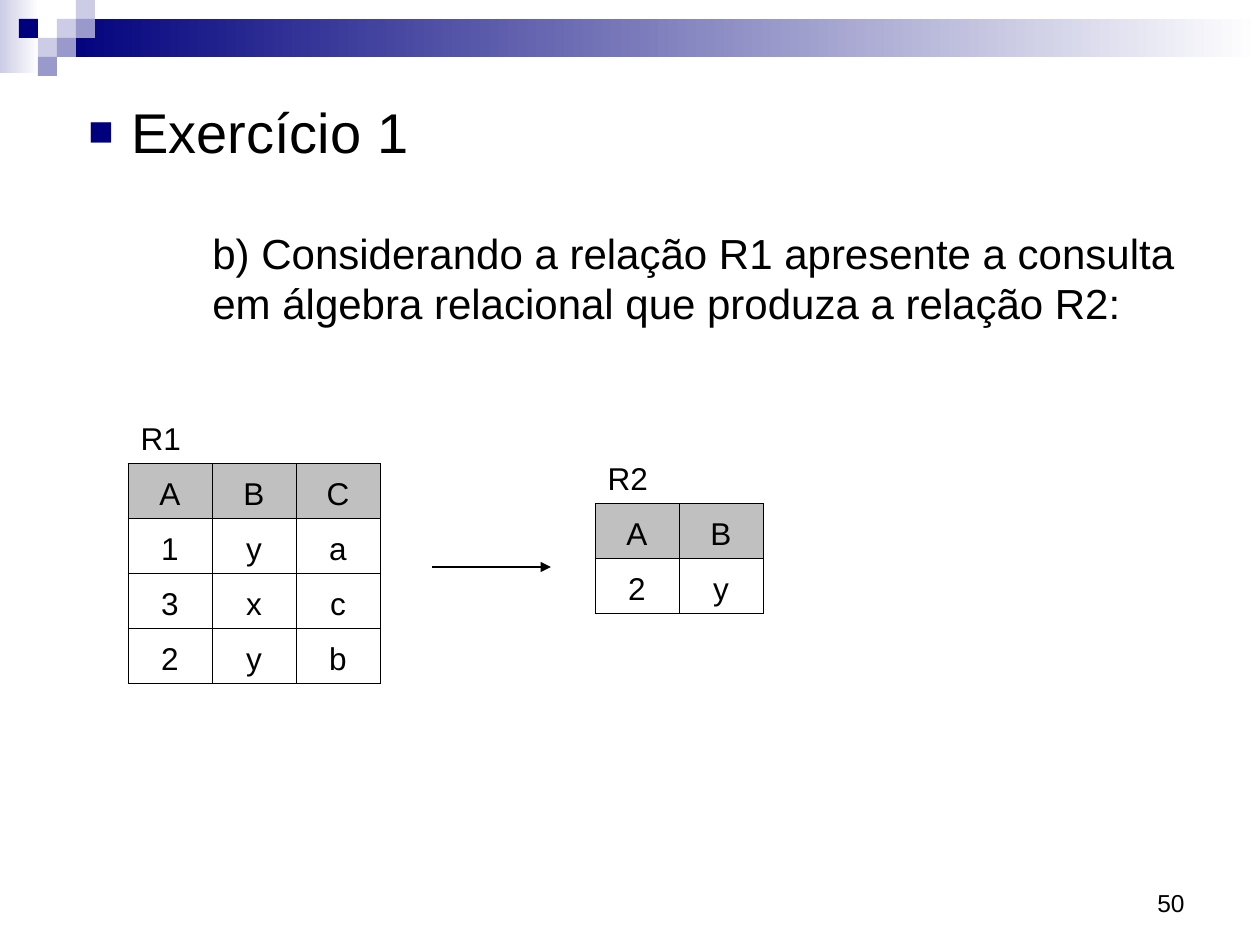
from lxml.etree import SubElement
from pptx import Presentation
from pptx.dml.color import RGBColor
from pptx.enum.shapes import MSO_CONNECTOR, MSO_SHAPE
from pptx.enum.text import MSO_ANCHOR, PP_ALIGN
from pptx.oxml.ns import qn
from pptx.util import Pt

EMU_PER_PX = 914400 / 126
FONT = "Arial"
COLORS = {
    "navy": "00007D",
    "violet": "9999CC",
    "lilac": "CCCCE6",
    "white": "FFFFFF",
    "black": "000000",
    "header": "C0C0C0",
}
SQUARE = 19
SQUARES = [
    (3, 1, "lilac"), (4, 0, "lilac"), (4, 1, "violet"), (2, 2, "lilac"),
    (1, 1, "navy"), (3, 2, "violet"), (2, 3, "violet"),
]
COLUMN_WIDTH, CAPTION_HEIGHT, ROW_HEIGHT = 84, 50, 55
RELATION_R1 = ["ABC", "1ya", "3xc", "2yb"]
RELATION_R2 = ["AB", "2y"]
QUESTION = ("b) Considerando a relação R1 apresente a consulta "
            "em álgebra relacional que produza a relação R2:")


def px(length):
    """Turn pixels into EMU."""
    return round(length * EMU_PER_PX)


def color(name):
    """Return a named colour."""
    return RGBColor.from_string(COLORS[name])


def add_block(page, left, top, width, height, *names):
    """Add a borderless rectangle, plain or fading between two colours."""
    block = page.shapes.add_shape(
        MSO_SHAPE.RECTANGLE, px(left), px(top), px(width), px(height))
    block.shadow.inherit = False
    block.line.fill.background()
    if len(names) == 1:
        block.fill.solid()
        block.fill.fore_color.rgb = color(names[0])
        return
    block.fill.gradient()
    block.fill.gradient_angle = 0
    for stop, name, position in zip(block.fill.gradient_stops, names, (0, 1)):
        stop.color.rgb = color(name)
        stop.position = position


def add_banner(page):
    """Add the fading bands and the mosaic at the top."""
    add_block(page, 0, 0, 39, 73, "lilac", "white")
    add_block(page, 57, 19, 1203, 38, "navy", "white")
    for column, row, name in SQUARES:
        add_block(page, column * SQUARE, row * SQUARE, SQUARE, SQUARE, name)


def style_paragraph(paragraph, size, align=PP_ALIGN.LEFT):
    """Set the font and alignment of a paragraph."""
    paragraph.alignment = align
    paragraph.font.size = Pt(size)
    paragraph.font.name = FONT
    paragraph.font.color.rgb = color("black")


def add_text_box(page, left, top, width, height, anchor):
    """Add an empty wrapping text box and return its frame."""
    box = page.shapes.add_textbox(px(left), px(top), px(width), px(height))
    frame = box.text_frame
    frame.word_wrap = True
    frame.vertical_anchor = anchor
    return frame


def add_square_bullet(paragraph, margin, indent):
    """Give a paragraph a small navy square bullet."""
    properties = paragraph._p.get_or_add_pPr()
    properties.set("marL", str(px(margin)))
    properties.set("indent", str(px(indent)))
    bullet_color = SubElement(properties, qn("a:buClr"))
    SubElement(bullet_color, qn("a:srgbClr"), val=COLORS["navy"])
    SubElement(properties, qn("a:buSzPct"), val="75000")
    SubElement(properties, qn("a:buFont"), typeface=FONT)
    SubElement(properties, qn("a:buChar"), char="■")


def add_exercise(page):
    """Add the heading and the question."""
    frame = add_text_box(page, 63, 86, 1158, 268, MSO_ANCHOR.TOP)
    frame.margin_top = px(11)
    heading = frame.paragraphs[0]
    heading.text = "Exercício 1"
    add_square_bullet(heading, 56, -43)
    style_paragraph(heading, 32)
    question = frame.add_paragraph()
    question.text = QUESTION
    question._p.get_or_add_pPr().set("marL", str(px(137)))
    question.space_before = Pt(36)
    style_paragraph(question, 24)


def set_borders(cell, visible_sides):
    """Draw the given sides of a cell and hide the others."""
    properties = cell._tc.get_or_add_tcPr()
    for side in "LRTB":
        border = SubElement(properties, qn(f"a:ln{side}"), w=str(Pt(0.45)))
        if side in visible_sides:
            fill = SubElement(border, qn("a:solidFill"))
            SubElement(fill, qn("a:srgbClr"), val=COLORS["black"])
        else:
            SubElement(border, qn("a:noFill"))


def fill_cell(cell, text, align, sides, shaded):
    """Write and style one table cell."""
    cell.text = text
    cell.vertical_anchor = MSO_ANCHOR.BOTTOM
    style_paragraph(cell.text_frame.paragraphs[0], 18, align)
    set_borders(cell, sides)
    if shaded:
        cell.fill.solid()
        cell.fill.fore_color.rgb = color("header")
    else:
        cell.fill.background()


def add_relation(page, left, top, name, rows):
    """Add a relation as a table with its name above the header."""
    count = len(rows[0])
    height = CAPTION_HEIGHT + ROW_HEIGHT * len(rows)
    table = page.shapes.add_table(
        len(rows) + 1, count, px(left), px(top),
        px(count * COLUMN_WIDTH), px(height)).table
    table.first_row = table.horz_banding = False
    for column in table.columns:
        column.width = px(COLUMN_WIDTH)
    for index, row in enumerate(table.rows):
        row.height = px(ROW_HEIGHT if index else CAPTION_HEIGHT)
    for column in range(count):
        caption = "" if column else name
        fill_cell(table.cell(0, column), caption, PP_ALIGN.LEFT, "B", False)
        for index, values in enumerate(rows, 1):
            fill_cell(table.cell(index, column), values[column],
                      PP_ALIGN.CENTER, "LRTB", index == 1)


def add_arrow(page, left, right, y):
    """Add a horizontal arrow."""
    arrow = page.shapes.add_connector(
        MSO_CONNECTOR.STRAIGHT, px(left), px(y), px(right), px(y))
    arrow.line.color.rgb = color("black")
    arrow.line.width = Pt(0.75)
    SubElement(arrow.line._get_or_add_ln(), qn("a:tailEnd"), type="triangle")
    SubElement(arrow._element.spPr, qn("a:effectLst"))


def add_page_number(page, number):
    """Add the slide number at the bottom right."""
    frame = add_text_box(page, 903, 861, 294, 63, MSO_ANCHOR.BOTTOM)
    frame.text = number
    style_paragraph(frame.paragraphs[0], 14, PP_ALIGN.RIGHT)


def main():
    """Build the slide and save it."""
    deck = Presentation()
    deck.slide_width, deck.slide_height = px(1260), px(945)
    page = deck.slides.add_slide(deck.slide_layouts[6])
    add_banner(page)
    add_page_number(page, "50")
    add_exercise(page)
    add_relation(page, 595, 453, "R2", RELATION_R2)
    add_relation(page, 128, 413, "R1", RELATION_R1)
    add_arrow(page, 432, 551, 567)
    deck.save("out.pptx")


if __name__ == "__main__":
    main()
